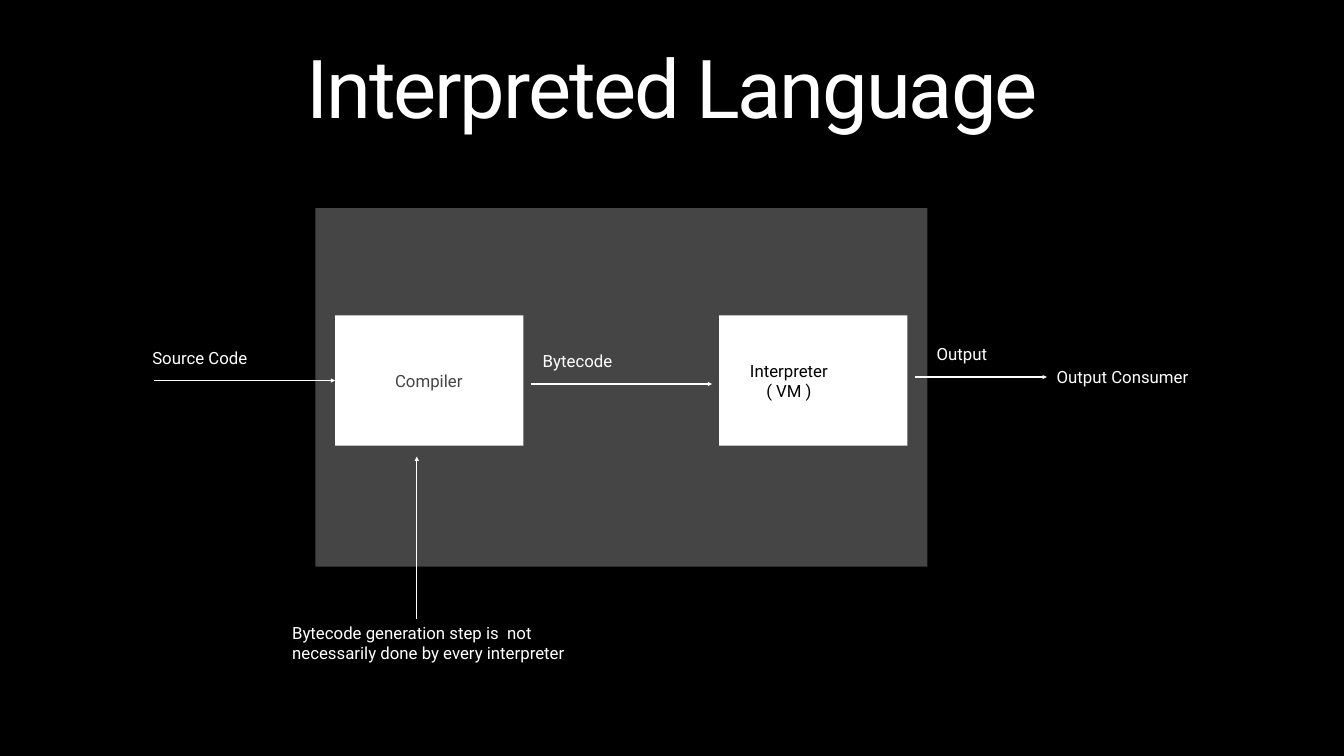
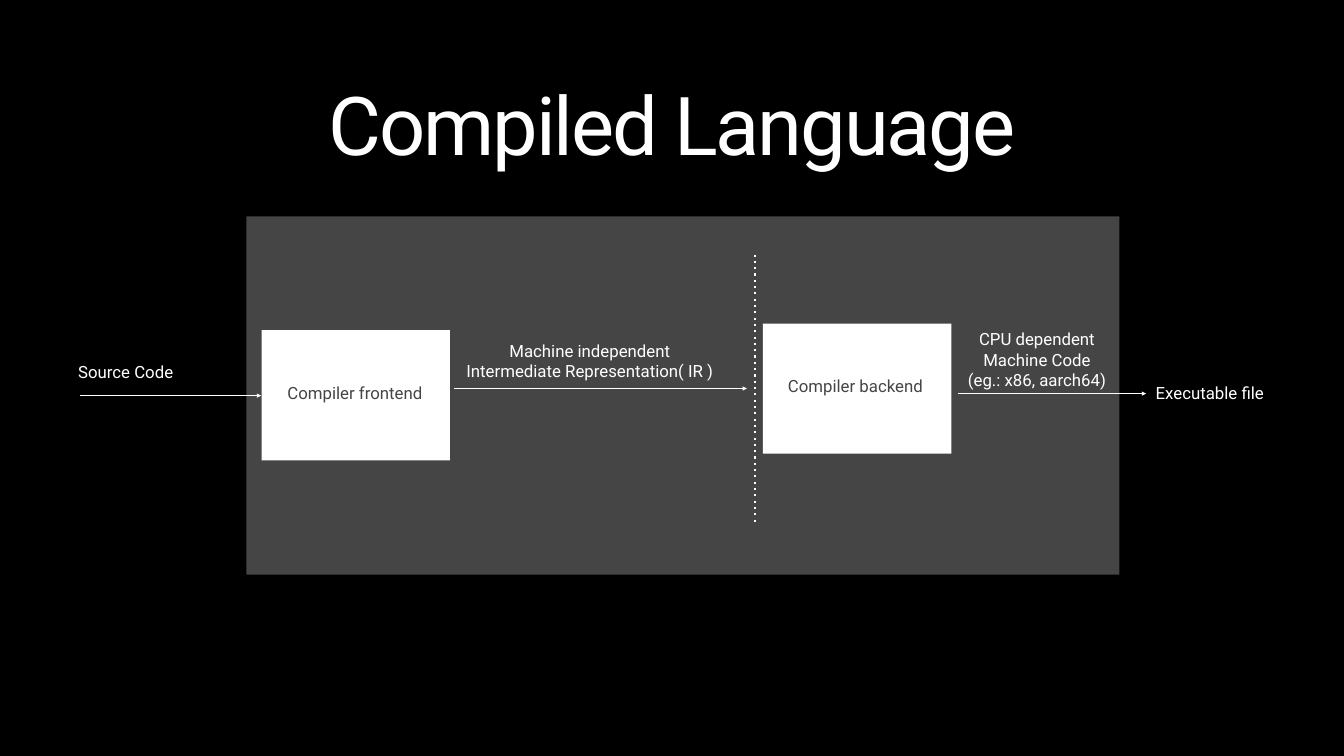
from dataclasses import dataclass

from lxml import etree
from pptx import Presentation
from pptx.dml.color import RGBColor
from pptx.enum import shapes, text
from pptx.oxml import ns
from pptx.slide import Slide
from pptx.text.text import TextFrame
from pptx.util import Pt

COLORS = {"background": "000000", "light": "FFFFFF", "dark": "000000"}
FONT = "Roboto"
TITLE_SIZE, LABEL_SIZE = 116, 24
INSET = 4
LABEL_LINE = 28
BOX_WIDTH, BOX_HEIGHT = 269, 186
PANEL_HEIGHT = 512
PANEL_OPACITY = 27


@dataclass
class Title:
    words: str
    left: float
    top: float
    width: float
    height: float


@dataclass
class Label:
    words: str
    left: float
    top: float
    width: float
    color: str = "light"
    align: text.PP_ALIGN = text.PP_ALIGN.CENTER


@dataclass
class Box:
    left: float
    top: float


@dataclass
class Panel:
    left: float
    top: float
    width: float


@dataclass
class Line:
    x1: float
    y1: float
    x2: float
    y2: float
    dotted: bool = False


# Items are listed from back to front.
SLIDES = [
    (Title("Interpreted Language", 95, -17.3, 1730, 305.3), [
        Label("Source Code", 210.5, 492.5, 150),
        Line(219.6, 543.6, 478.8, 543.6),
        Box(478.8, 450.7),
        Label("Compiler", 559, 525.6, 107, "dark"),
        Panel(450.7, 297.4, 874),
        Box(1027.4, 450.7),
        Label("Interpreter\v( VM )", 1057, 512, 140, "dark"),
        Label("Bytecode", 769, 497, 112),
        Line(758, 548.6, 1017.4, 548.6),
        Label("Output", 1332, 487, 84),
        Line(1306.8, 538.6, 1495.4, 538.6),
        Label("Output Consumer", 1503, 520, 201),
        Line(595.4, 884.9, 595.4, 652.3),
        Label("Bytecode generation step is  not\nnecessarily done by every interpreter",
              413.3, 886.3, 404, align=text.PP_ALIGN.LEFT),
    ]),
    (Title("Compiled Language", 247, 34.6, 1426, 307.4), [
        Label("Source Code", 104.5, 513, 150),
        Line(113.8, 565.2, 373, 565.2),
        Box(373.7, 471.6),
        Label("Compiler frontend", 405.5, 543, 203, "dark"),
        Label("Machine independent\nIntermediate Representation( IR )", 662, 484, 361),
        Line(648.7, 555, 1067, 555),
        Line(1078.6, 745.2, 1078.6, 364.3, dotted=True),
        Box(1090, 462.2),
        Label("Compiler backend", 1119, 533, 206, "dark"),
        Label("CPU dependent\nMachine Code\n(eg.: x86, aarch64)", 1378, 467.3, 206.6),
        Line(1368.7, 562.3, 1637.3, 562.3),
        Label("Executable file", 1645.5, 543, 165.6),
        Panel(352, 309, 1247),
    ]),
]


def rgb(name: str) -> RGBColor:
    return RGBColor.from_string(COLORS[name])


def write_text(frame: TextFrame, words: str, size: float, color: str,
               align: text.PP_ALIGN) -> None:
    frame.text = words
    frame.vertical_anchor = text.MSO_ANCHOR.MIDDLE
    frame.margin_left = frame.margin_right = Pt(INSET)
    frame.margin_top = frame.margin_bottom = Pt(INSET)
    for paragraph in frame.paragraphs:
        paragraph.alignment = align
        paragraph.font.name = FONT
        paragraph.font.size = Pt(size)
        paragraph.font.color.rgb = rgb(color)


def draw_title(slide: Slide, title: Title) -> None:
    shape = slide.shapes.title
    shape.left, shape.top = Pt(title.left), Pt(title.top)
    shape.width, shape.height = Pt(title.width), Pt(title.height)
    frame = shape.text_frame
    write_text(frame, title.words, TITLE_SIZE, "light", text.PP_ALIGN.CENTER)
    frame.auto_size = text.MSO_AUTO_SIZE.NONE
    frame.word_wrap = True
    frame.paragraphs[0].line_spacing = 0.8
    for properties in shape.element.iter(ns.qn("a:defRPr")):
        properties.set("spc", "-300")


def draw_label(slide: Slide, label: Label) -> None:
    height = 2 * INSET + LABEL_LINE * len(label.words.splitlines())
    shape = slide.shapes.add_textbox(
        Pt(label.left), Pt(label.top), Pt(label.width), Pt(height))
    frame = shape.text_frame
    write_text(frame, label.words, LABEL_SIZE, label.color, label.align)
    frame.word_wrap = False
    frame.auto_size = text.MSO_AUTO_SIZE.SHAPE_TO_FIT_TEXT


def draw_rectangle(slide: Slide, left: float, top: float, width: float,
                   height: float, opacity: int = 100) -> None:
    shape = slide.shapes.add_shape(
        shapes.MSO_SHAPE.RECTANGLE, Pt(left), Pt(top), Pt(width), Pt(height))
    shape.shadow.inherit = False
    shape.fill.solid()
    shape.fill.fore_color.rgb = rgb("light")
    shape.line.fill.background()
    if opacity < 100:
        color = shape.element.spPr.find(f"{ns.qn('a:solidFill')}/{ns.qn('a:srgbClr')}")
        etree.SubElement(color, ns.qn("a:alpha"), val=str(opacity * 1000))


def draw_line(slide: Slide, line: Line) -> None:
    """Draw a dotted divider, or a solid line with an arrowhead at its end."""
    connector = slide.shapes.add_connector(
        shapes.MSO_CONNECTOR.STRAIGHT, Pt(line.x1), Pt(line.y1), Pt(line.x2), Pt(line.y2))
    connector.line.color.rgb = rgb("light")
    connector.line.width = Pt(3 if line.dotted else 2)
    properties = connector.element.spPr
    outline = properties.find(ns.qn("a:ln"))
    if line.dotted:
        dashes = etree.SubElement(outline, ns.qn("a:custDash"))
        etree.SubElement(dashes, ns.qn("a:ds"), d="100000", sp="200000")
    else:
        etree.SubElement(outline, ns.qn("a:tailEnd"), type="triangle")
    etree.SubElement(properties, ns.qn("a:effectLst"))


def draw_item(slide: Slide, item: Label | Box | Panel | Line) -> None:
    match item:
        case Label():
            draw_label(slide, item)
        case Box():
            draw_rectangle(slide, item.left, item.top, BOX_WIDTH, BOX_HEIGHT)
        case Panel():
            draw_rectangle(slide, item.left, item.top, item.width, PANEL_HEIGHT, PANEL_OPACITY)
        case Line():
            draw_line(slide, item)


def main() -> None:
    presentation = Presentation()
    presentation.slide_width, presentation.slide_height = Pt(1920), Pt(1080)
    background = presentation.slide_master.background.fill
    background.solid()
    background.fore_color.rgb = rgb("background")
    title_only = presentation.slide_layouts.get_by_name("Title Only")
    for title, items in SLIDES:
        slide = presentation.slides.add_slide(title_only)
        draw_title(slide, title)
        for item in items:
            draw_item(slide, item)
    presentation.save("out.pptx")


if __name__ == "__main__":
    main()
